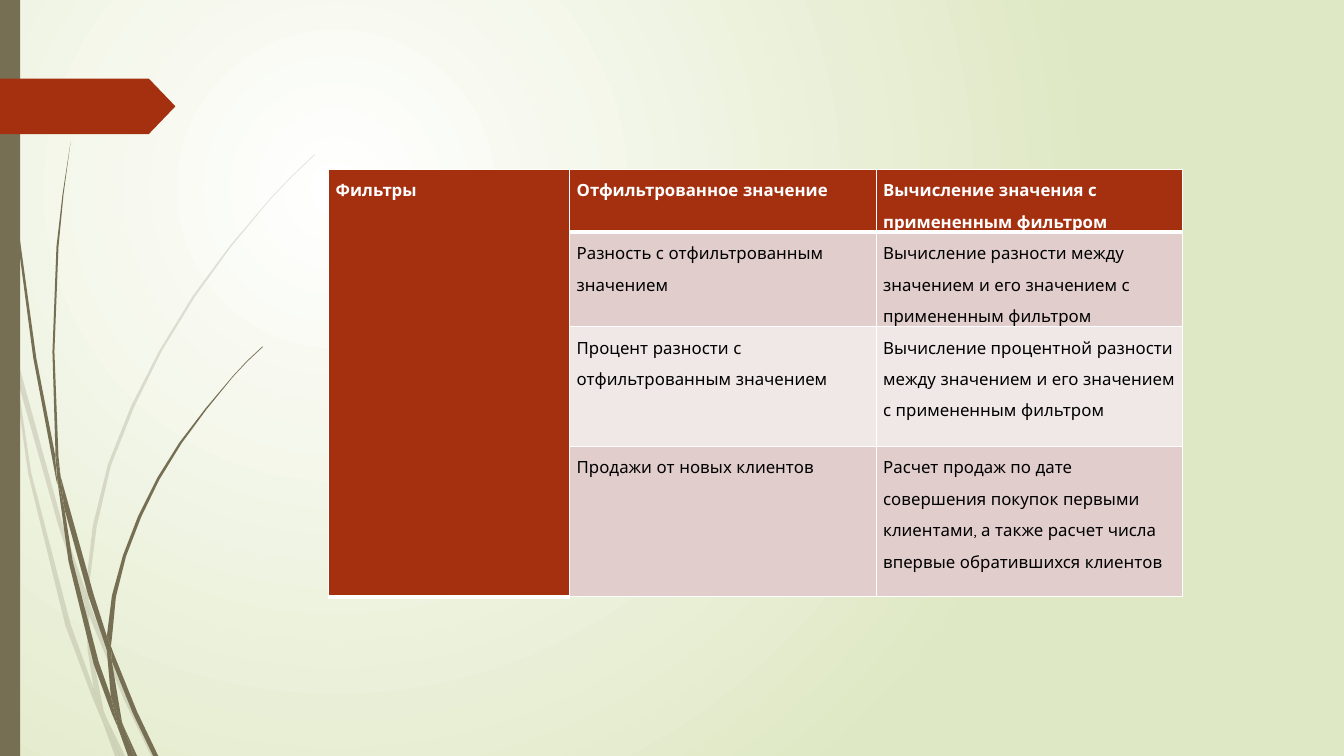
import pptx
import pptx.dml.color
import pptx.enum.shapes
import pptx.oxml
import pptx.oxml.ns
import pptx.util
from pptx.util import Inches

OLIVE, RUST, WHITE, BLACK = "766F54", "A53010", "FFFFFF", "000000"
BANDS = ["E1CDCC", "F0E8E7"]

PALE_GRASS = [
    [(0.11, 3.5), (0.09, 3.22), (0, 2.82), (0, 2.99), (0.1, 3.44)],
    [(0.58, 5.22), (0.84, 5.99), (0.85, 5.86), (0.62, 5.2), (0.14, 3.45), (0.17, 3.76)],
    [(0.92, 6.07), (0.88, 5.96), (0.88, 6.1), (1.23, 6.94), (1.5, 7.5), (1.55, 7.5),
     (1.27, 6.92)],
    [(1.19, 7.5), (1.24, 7.5), (1.05, 7.11)],
    [(0.93, 6.83), (0.7, 6.19), (0.31, 4.69), (0.17, 3.76), (0.11, 3.5), (0.28, 4.7),
     (0.65, 6.21), (0.92, 6.93), (1.01, 7.14), (0.99, 7.07)],
    [(0.84, 5.99), (0.87, 6.46), (0.93, 6.83), (0.96, 6.92), (1.05, 7.11), (1.03, 7.06),
     (0.91, 6.46), (0.88, 6.1), (0.88, 6.08)],
    [(0.88, 5.84), (0.96, 5.22), (1.1, 4.62), (1.33, 4.04), (1.6, 3.49), (1.93, 2.95),
     (2.29, 2.45), (2.68, 1.98), (2.9, 1.75), (3.12, 1.54), (3.12, 1.53), (2.89, 1.75),
     (2.68, 1.97), (2.28, 2.44), (1.91, 2.94), (1.58, 3.48), (1.3, 4.03), (1.07, 4.61),
     (0.92, 5.22), (0.85, 5.84), (0.85, 5.86), (0.88, 5.96)],
    [(1.01, 7.14), (1.14, 7.5), (1.19, 7.5)],
    [(0.88, 6.08), (0.88, 6.1), (0.88, 5.96), (0.85, 5.86), (0.84, 5.99)],
    [(0.96, 6.92), (0.93, 6.83), (0.99, 7.07), (1.01, 7.14), (1.19, 7.5), (1.05, 7.11)],
]
DARK_GRASS = [
    [(0.07, 1.1), (0.17, 2.33), (0.33, 3.55), (0.56, 4.77), (0.57, 4.81), (0.55, 4.57),
     (0.55, 4.53), (0.36, 3.55), (0.19, 2.32), (0.08, 1.09), (0.05, 0.48), (0.04, 0),
     (0.03, 0), (0.04, 0.48)],
    [(0.88, 5.92), (1.06, 6.45), (1.06, 6.31), (0.93, 5.9), (0.6, 4.72), (0.64, 5.05)],
    [(1.13, 6.49), (1.1, 6.41), (1.11, 6.56), (1.32, 7.08), (1.52, 7.5), (1.57, 7.5),
     (1.36, 7.06)],
    [(1.1, 6.91), (0.98, 6.57), (0.72, 5.56), (0.64, 5.05), (0.57, 4.77), (0.68, 5.57),
     (0.93, 6.59), (1.11, 7.08), (1.17, 7.22), (1.16, 7.17)],
    [(0.6, 4.72), (0.58, 4.53), (0.54, 3.49), (0.58, 2.45), (0.63, 1.93), (0.7, 1.41),
     (0.62, 1.93), (0.56, 2.45), (0.52, 3.49), (0.55, 4.49)],
    [(1.33, 7.5), (1.36, 7.5), (1.22, 7.19)],
    [(0.57, 4.77), (0.64, 5.05), (0.6, 4.72), (0.55, 4.49), (0.55, 4.53)],
    [(1.11, 6.33), (1.15, 5.92), (1.25, 5.52), (1.4, 5.13), (1.58, 4.76), (1.8, 4.4),
     (2.05, 4.06), (2.31, 3.74), (2.45, 3.59), (2.61, 3.44), (2.6, 3.44), (2.45, 3.58),
     (2.31, 3.73), (2.04, 4.05), (1.78, 4.39), (1.56, 4.74), (1.37, 5.12), (1.22, 5.51),
     (1.11, 5.91), (1.06, 6.31), (1.1, 6.41)],
    [(1.17, 7.22), (1.27, 7.5), (1.31, 7.5)],
    [(1.06, 6.45), (1.1, 6.91), (1.16, 7.06), (1.22, 7.19), (1.21, 7.16), (1.11, 6.56),
     (1.09, 6.51)],
    [(1.06, 6.45), (1.09, 6.51), (1.11, 6.56), (1.1, 6.41), (1.06, 6.31)],
    [(1.16, 7.06), (1.1, 6.91), (1.16, 7.17), (1.17, 7.22), (1.3, 7.5), (1.33, 7.5),
     (1.22, 7.19)],
]
FILTER_ROWS = [
    ["Фильтры", "Отфильтрованное значение", "Вычисление значения с примененным фильтром"],
    ["", "Разность с отфильтрованным значением",
     "Вычисление разности между значением и его значением с примененным фильтром"],
    ["", "Процент разности с отфильтрованным значением",
     "Вычисление процентной разности между значением и его значением с примененным фильтром"],
    ["", "Продажи от новых клиентов",
     "Расчет продаж по дате совершения покупок первыми клиентами, "
     "а также расчет числа впервые обратившихся клиентов"],
]


def colour(value):
    return pptx.dml.color.RGBColor.from_string(value)


def add_element(parent, tag, **attributes):
    element = pptx.oxml.ns.qn(tag)
    child = parent.makeelement(element, attributes)
    parent.append(child)
    return child


class FilterSlide:
    """Draws the elements of one slide in a shared style."""

    font_name = "Quicksand"
    font_size = 12

    def __init__(self, page):
        self.page = page

    def background(self, centre, edge):
        fill = self.page.background.fill
        fill.gradient()
        for stop, value in zip(fill.gradient_stops, (centre, edge)):
            stop.color.rgb = colour(value)
        linear = self.page.element.xpath(".//a:gradFill/a:lin")[0]
        gradient = linear.getparent()
        gradient.remove(linear)
        circle = add_element(gradient, "a:path", path="circle")
        add_element(circle, "a:fillToRect", l="50000", t="50000", r="100000", b="100000")

    def paint(self, shape, value, opacity=100):
        shape.shadow.inherit = False
        shape.line.fill.background()
        shape.fill.solid()
        shape.fill.fore_color.rgb = colour(value)
        if opacity < 100:
            solid = shape.element.spPr.xpath("./a:solidFill/a:srgbClr")[0]
            add_element(solid, "a:alpha", val=str(opacity * 1000))

    def grass(self, outlines, opacity=100):
        group = self.page.shapes.add_group_shape()
        for outline in outlines:
            start, *rest = [(Inches(x), Inches(y)) for x, y in outline]
            builder = group.shapes.build_freeform(*start)
            builder.add_line_segments(rest, close=True)
            self.paint(builder.convert_to_shape(), OLIVE, opacity)

    def block(self, kind, left, top, width, height, value):
        shape = self.page.shapes.add_shape(
            kind, Inches(left), Inches(top), Inches(width), Inches(height))
        self.paint(shape, value)
        return shape

    def borders(self, cell, bottom):
        properties = cell._tc.get_or_add_tcPr()
        for side, points in (("L", 1), ("R", 1), ("T", 1), ("B", bottom)):
            line = add_element(properties, f"a:ln{side}", w=str(pptx.util.Pt(points)))
            add_element(add_element(line, "a:solidFill"), "a:srgbClr", val=WHITE)

    def cell(self, cell, text, header, fill):
        cell.margin_left = cell.margin_right = Inches(0.07)
        cell.margin_top = cell.margin_bottom = 0
        self.borders(cell, 3 if header else 1)
        cell.fill.solid()
        cell.fill.fore_color.rgb = colour(fill)
        para = cell.text_frame.paragraphs[0]
        para.text = text
        para.line_spacing = 1.5
        para.font.name = self.font_name
        para.font.size = pptx.util.Pt(self.font_size)
        para.font.bold = header
        para.font.color.rgb = colour(WHITE if header else BLACK)

    def table(self, left, top, widths, heights, rows):
        table = self.page.shapes.add_table(
            len(rows), len(widths), Inches(left), Inches(top),
            Inches(sum(widths)), Inches(sum(heights))).table
        for column, width in zip(table.columns, widths):
            column.width = Inches(width)
        for index, (height, texts) in enumerate(zip(heights, rows)):
            table.rows[index].height = Inches(height)
            fill = BANDS[(index - 1) % 2] if index else RUST
            for number, text in enumerate(texts):
                self.cell(table.cell(index, number), text, index == 0, fill)
        table.cell(0, 0).merge(table.cell(len(rows) - 1, 0))


def main():
    deck = pptx.Presentation()
    deck.slide_width, deck.slide_height = Inches(13.33), Inches(7.5)
    slide = FilterSlide(deck.slides.add_slide(deck.slide_layouts[6]))
    shapes = pptx.enum.shapes.MSO_SHAPE
    slide.background(WHITE, "DFE8C4")
    slide.grass(PALE_GRASS, opacity=20)
    slide.grass(DARK_GRASS)
    slide.block(shapes.RECTANGLE, 0, 0, 0.2, 7.5, OLIVE)
    arrow = slide.block(shapes.PENTAGON, 0, 0.78, 1.74, 0.55, RUST)
    arrow.adjustments[0] = 0.48
    slide.table(3.26, 1.68, [2.39, 3.04, 3.04], [0.58, 0.88, 1.19, 1.49], FILTER_ROWS)
    deck.save("out.pptx")


if __name__ == "__main__":
    main()
